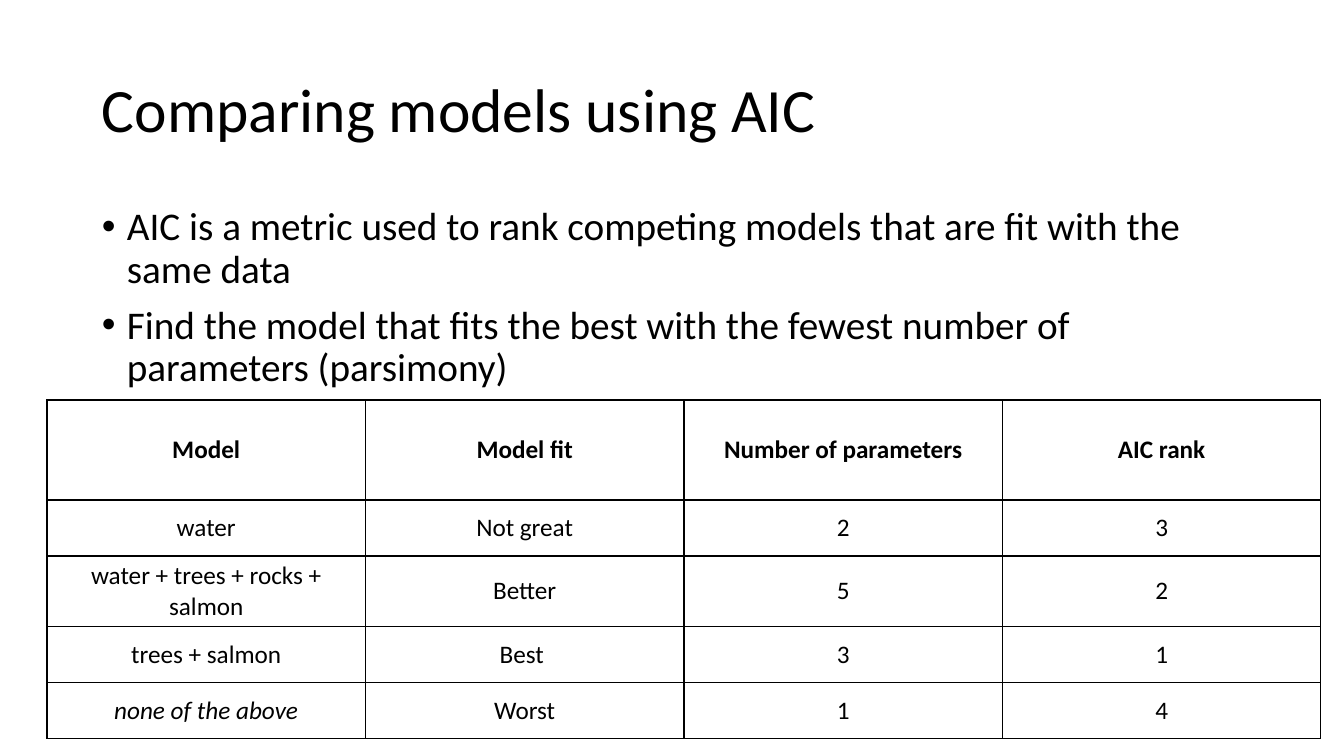
"""Build a slide on comparing models using AIC."""
import pptx
import pptx.dml.color
import pptx.enum.text
import pptx.oxml
import pptx.oxml.ns
import pptx.util
from lxml import etree

TITLE = "Comparing models using AIC"
BULLETS = [
    "AIC is a metric used to rank competing models that are fit with the same data",
    "Find the model that fits the best with the fewest number of parameters (parsimony)",
]
ROWS = [
    ("Model", "Model fit", "Number of parameters", "AIC rank"),
    ("water", "Not great", "2", "3"),
    ("water + trees + rocks + salmon", "Better", "5", "2"),
    ("trees + salmon", "Best ", "3", "1"),
    ("none of the above", "Worst", "1", "4"),
]
ITALIC = "none of the above"
COLORS = {"text": "000000", "border": "000000", "background": "FFFFFF"}
FONT = "Calibri"
SLIDE = (1344, 756)
TITLE_BOX = (92, 40, 1159, 146)
BODY_BOX = (92, 202, 1159, 480)
TABLE_LEFT, TABLE_TOP, TABLE_WIDTH = 47, 400, 1274
HEADER_HEIGHT, ROW_HEIGHT = 100, 56
INDENT = 25
PX = 914400 / 100.8

qn = pptx.oxml.ns.qn
MIDDLE = pptx.enum.text.MSO_ANCHOR.MIDDLE


def px(n):
    return pptx.util.Emu(round(n * PX))


def rgb(name):
    return pptx.dml.color.RGBColor.from_string(COLORS[name])


def style(p, size, bold=False, italic=False):
    f = p.font
    f.name, f.size, f.bold, f.italic = FONT, pptx.util.Pt(size), bold, italic
    f.color.rgb = rgb("text")


def add_text(s, box, lines, size, anchor):
    tf = s.shapes.add_textbox(*map(px, box)).text_frame
    tf.word_wrap = True
    tf.vertical_anchor = anchor
    tf.text = "\n".join(lines)
    for p in tf.paragraphs:
        p.line_spacing = 0.9
        style(p, size)
    return tf


def add_bullet(p):
    p.space_before = pptx.util.Pt(10)
    pPr = p._p.get_or_add_pPr()
    pPr.set("marL", str(px(INDENT)))
    pPr.set("indent", str(-px(INDENT)))
    font = etree.Element(qn("a:buFont"), typeface="Arial")
    char = etree.Element(qn("a:buChar"), char="•")
    pPr.find(qn("a:defRPr")).addprevious(font)
    font.addnext(char)


def add_borders(cell):
    tcPr = cell._tc.get_or_add_tcPr()
    for i, side in enumerate(("lnL", "lnR", "lnT", "lnB")):
        ln = etree.Element(qn("a:" + side), w=str(pptx.util.Pt(1)))
        fill = etree.SubElement(ln, qn("a:solidFill"))
        etree.SubElement(fill, qn("a:srgbClr"), val=COLORS["border"])
        tcPr.insert(i, ln)


def add_model_table(s):
    n_rows, n_cols = len(ROWS), len(ROWS[0])
    height = HEADER_HEIGHT + ROW_HEIGHT * (n_rows - 1)
    table = s.shapes.add_table(
        n_rows, n_cols, px(TABLE_LEFT), px(TABLE_TOP), px(TABLE_WIDTH), px(height)
    ).table
    table.horz_banding = False
    for col in table.columns:
        col.width = px(TABLE_WIDTH / n_cols)
    for i, texts in enumerate(ROWS):
        table.rows[i].height = px(ROW_HEIGHT if i else HEADER_HEIGHT)
        for j, text in enumerate(texts):
            cell = table.cell(i, j)
            cell.text = text
            cell.vertical_anchor = MIDDLE
            cell.fill.background()
            add_borders(cell)
            p = cell.text_frame.paragraphs[0]
            p.alignment = pptx.enum.text.PP_ALIGN.CENTER
            style(p, 18, bold=i == 0, italic=text == ITALIC)


def main():
    prs = pptx.Presentation()
    prs.slide_width, prs.slide_height = map(px, SLIDE)
    s = prs.slides.add_slide(prs.slide_layouts[6])
    s.background.fill.solid()
    s.background.fill.fore_color.rgb = rgb("background")
    add_text(s, TITLE_BOX, [TITLE], 44, MIDDLE)
    body = add_text(s, BODY_BOX, BULLETS, 28, pptx.enum.text.MSO_ANCHOR.TOP)
    for p in body.paragraphs:
        add_bullet(p)
    add_model_table(s)
    prs.save("out.pptx")


if __name__ == "__main__":
    main()
